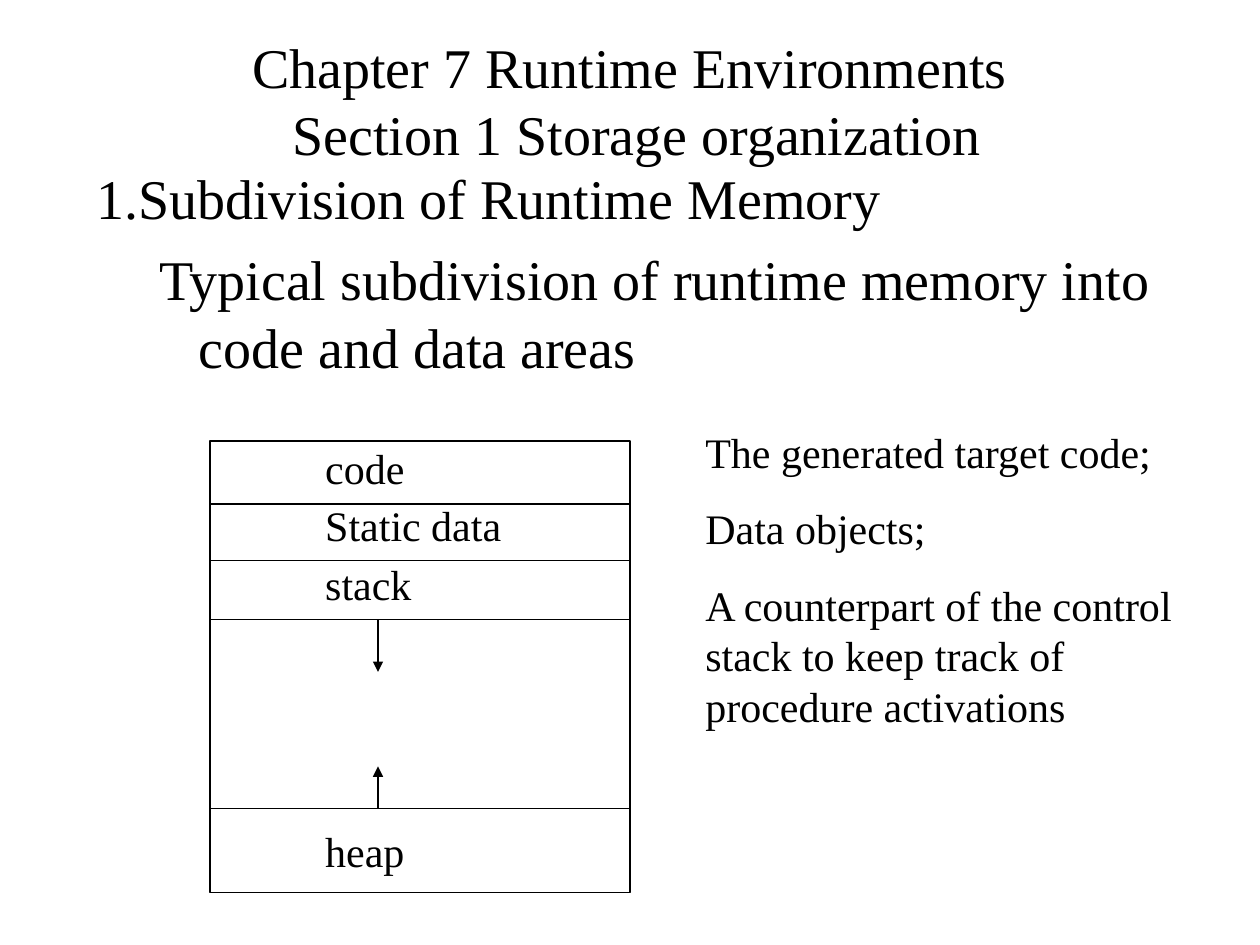
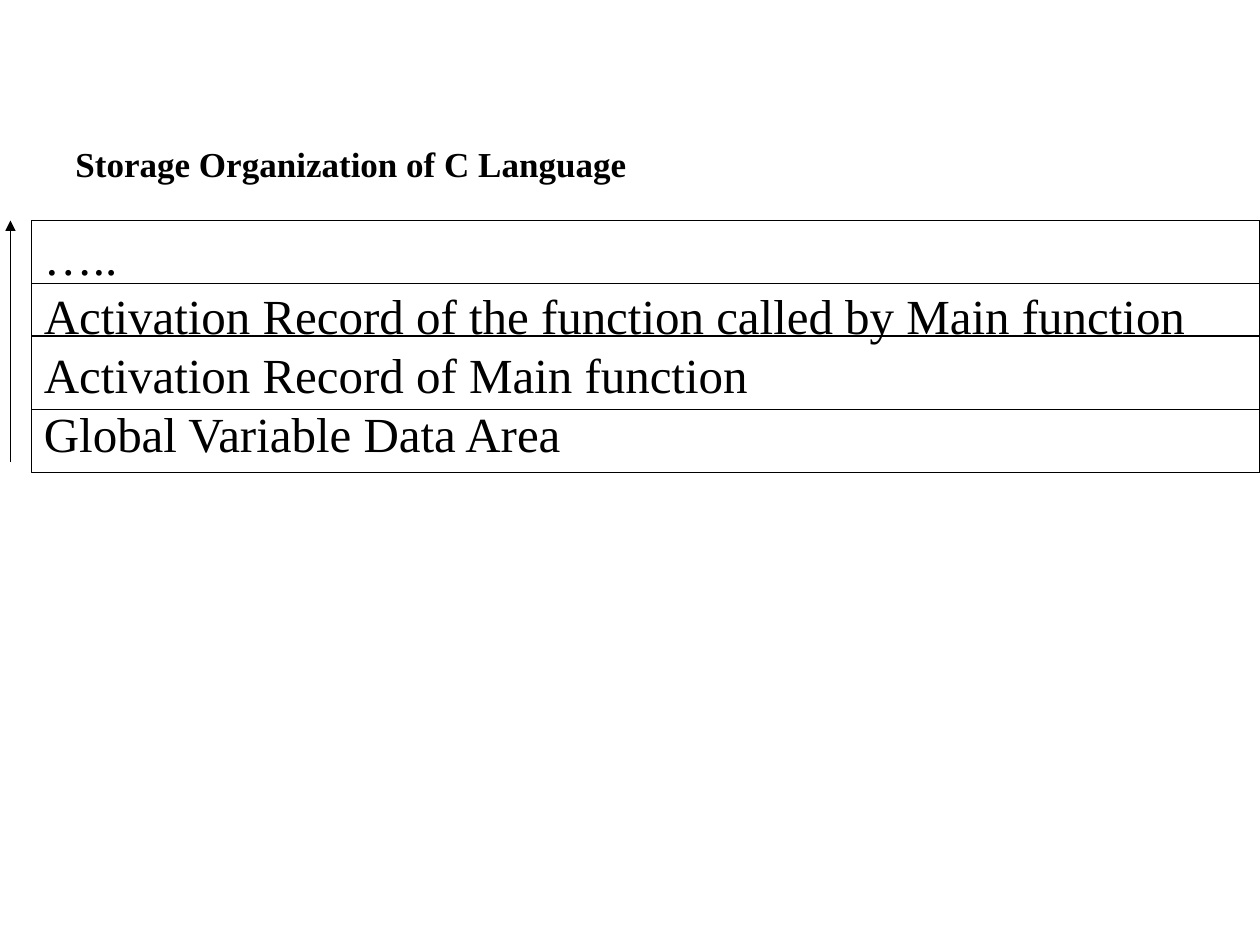
"""Build two slides on how runtime memory is organised."""
import pptx
import pptx.dml.color
import pptx.enum.shapes
import pptx.enum.text
import pptx.oxml.ns
import pptx.util
from lxml import etree

Pt = pptx.util.Pt
ALIGN = pptx.enum.text.PP_ALIGN
ANCHOR = pptx.enum.text.MSO_ANCHOR
FIT = pptx.enum.text.MSO_AUTO_SIZE
BLACK = pptx.dml.color.RGBColor(0, 0, 0)
WHITE = pptx.dml.color.RGBColor(255, 255, 255)
FONT = "Times New Roman"
RULE_WIDTH = 0.74
qn = pptx.oxml.ns.qn


def add_paragraph(frame, text, size, align=ALIGN.LEFT, before=0, bold=False):
    first = frame.paragraphs[0]
    paragraph = frame.add_paragraph() if first.runs else first
    paragraph.alignment = align
    paragraph.space_before = Pt(before)
    for index, line in enumerate(text.split("\n")):
        if index:
            paragraph.add_line_break()
        run = paragraph.add_run()
        run.text = line
        run.font.name = FONT
        run.font.size = Pt(size)
        run.font.bold = bold
        run.font.color.rgb = BLACK
    return paragraph


def add_text_frame(shapes, left, top, width, height, wrap=True, fit=FIT.SHAPE_TO_FIT_TEXT):
    box = shapes.add_textbox(Pt(left), Pt(top), Pt(width), Pt(height))
    frame = box.text_frame
    frame.word_wrap = wrap
    frame.auto_size = fit
    return frame


def indent(paragraph, margin, hanging, level=0):
    paragraph.level = level
    properties = paragraph._p.get_or_add_pPr()
    properties.set("marL", str(Pt(margin)))
    properties.set("indent", str(-Pt(hanging)))


def add_frame(shapes, left, top, width, height, line_width, fill=None):
    frame = shapes.add_shape(pptx.enum.shapes.MSO_SHAPE.RECTANGLE,
                             Pt(left), Pt(top), Pt(width), Pt(height))
    frame.shadow.inherit = False
    if fill is None:
        frame.fill.background()
    else:
        frame.fill.solid()
        frame.fill.fore_color.rgb = fill
    frame.line.color.rgb = BLACK
    frame.line.width = Pt(line_width)
    return frame


def add_line(shapes, x1, y1, x2, y2, arrow=False):
    line = shapes.add_connector(pptx.enum.shapes.MSO_CONNECTOR.STRAIGHT,
                                Pt(x1), Pt(y1), Pt(x2), Pt(y2))
    line.line.color.rgb = BLACK
    line.line.width = Pt(RULE_WIDTH)
    if arrow:
        etree.SubElement(line.line._get_or_add_ln(), qn("a:tailEnd"), type="triangle")
    etree.SubElement(line._element.spPr, qn("a:effectLst"))


def add_dividers(shapes, left, right, levels):
    for level in levels:
        add_line(shapes, left, level, right, level)


def add_memory_map(shapes):
    left, right, top, bottom = 120, 360, 252, 510
    stack_end, heap_start, growth = 354, 462, 216
    add_frame(shapes, left, top, right - left, bottom - top, RULE_WIDTH)
    add_dividers(shapes, left, right, (288, 320.5, stack_end, heap_start))
    areas = (("code", 249.25, 62), ("Static data", 282, 118),
             ("stack", 315.5, 66), ("heap", 468, 62))
    for area, label_top, width in areas:
        label = add_text_frame(shapes, 178.75, label_top, width, 36, wrap=False)
        add_paragraph(label, area, 24)
    add_line(shapes, growth, stack_end, growth, 384, arrow=True)
    add_line(shapes, growth, heap_start, growth, 438, arrow=True)


def add_subdivision_slide(slide):
    title = add_text_frame(slide.shapes, 54, 12, 612, 90, fit=FIT.NONE)
    title.vertical_anchor = ANCHOR.MIDDLE
    add_paragraph(title, "Chapter 7 Runtime Environments\n Section 1 Storage organization",
                  32, ALIGN.CENTER)

    body = add_text_frame(slide.shapes, 48, 90, 648, 420, fit=FIT.NONE)
    heading = add_paragraph(body, "1.Subdivision of Runtime Memory", 32, before=8)
    indent(heading, 27, 27)
    summary = add_paragraph(
        body, "Typical subdivision of runtime memory into code and data areas", 32, before=8)
    indent(summary, 58.5, 22.5, level=1)

    add_memory_map(slide.shapes.add_group_shape().shapes)

    notes = add_text_frame(slide.shapes, 396, 240, 294, 181.5)
    for note in ("The generated target code;", "Data objects;",
                 "A counterpart of the control stack to keep track of procedure activations"):
        add_paragraph(notes, note, 24, before=15)


def add_c_storage_slide(slide):
    left, right, top, bottom = 18, 720, 126, 270
    storage = add_frame(slide.shapes, left, top, right - left, bottom - top, 0.99, WHITE)
    storage.text_frame.word_wrap = True
    storage.text_frame.vertical_anchor = ANCHOR.TOP
    for area in ("\u2026..", "Activation Record of the function called by Main function",
                 "Activation Record of Main function", "Global Variable Data Area"):
        add_paragraph(storage.text_frame, area, 28, ALIGN.JUSTIFY)

    heading = add_text_frame(slide.shapes, 36, 78, 408, 28)
    heading.margin_bottom = 0
    add_paragraph(heading, "Storage Organization of C Language", 20, ALIGN.JUSTIFY, bold=True)

    add_dividers(slide.shapes, left, right, (234, 192, 162))
    add_line(slide.shapes, 6, 264, 6, top, arrow=True)


def main():
    deck = pptx.Presentation()
    deck.slide_width, deck.slide_height = Pt(720), Pt(540)
    blank = deck.slide_layouts[6]
    for build in (add_subdivision_slide, add_c_storage_slide):
        build(deck.slides.add_slide(blank))
    deck.save("out.pptx")


main()
